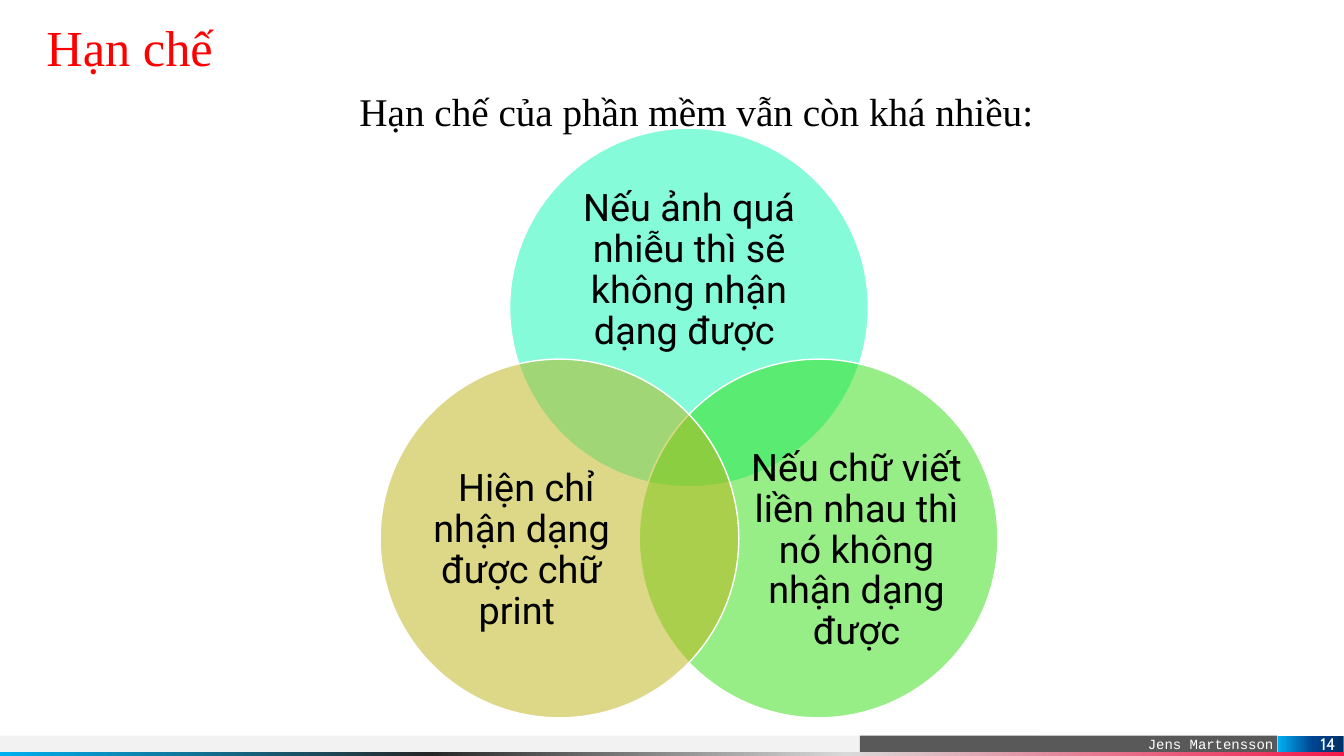
from pptx import Presentation
from pptx.dml.color import RGBColor
from pptx.enum.shapes import MSO_SHAPE
from pptx.enum.text import MSO_ANCHOR, MSO_AUTO_SIZE, PP_ALIGN
from pptx.oxml.ns import qn
from pptx.util import Cm, Pt
from lxml import etree

RECT, OVAL = MSO_SHAPE.RECTANGLE, MSO_SHAPE.OVAL
LEFT, CENTER, RIGHT = PP_ALIGN.LEFT, PP_ALIGN.CENTER, PP_ALIGN.RIGHT
TOP, MIDDLE, BOTTOM = MSO_ANCHOR.TOP, MSO_ANCHOR.MIDDLE, MSO_ANCHOR.BOTTOM
NO_FIT = MSO_AUTO_SIZE.NONE
SERIF, SANS = "Times New Roman", "Roboto"
COLORS = {
    "red": "FF0000", "black": "000000", "white": "FFFFFF",
    "pale": "F2F2F2", "gray": "595959",
    "mint": "0CF8B6", "green": "31DC0E", "olive": "BDB313",
}
RAINBOW = [(0, "F2194A"), (37, "D9D9D9"), (68, "262626"), (100, "00B0F0")]
BLUES = [(0, "003065"), (47, "004490"), (100, "00B0F0")]


def rgb(name):
    return RGBColor.from_string(COLORS[name])


def write(shape, text, font, size, color, align=LEFT, anchor=TOP,
          inset=(0, 0, 0, 0), spacing=None):
    frame = shape.text_frame
    frame.word_wrap = True
    frame.auto_size = NO_FIT
    frame.vertical_anchor = anchor
    (frame.margin_left, frame.margin_top,
     frame.margin_right, frame.margin_bottom) = map(Cm, inset)
    frame.text = text
    para = frame.paragraphs[0]
    para.alignment = align
    para.line_spacing = spacing
    para.font.name = font
    para.font.size = Pt(size)
    para.font.color.rgb = rgb(color)


def add_form(slide, kind, box, color=None):
    shape = slide.shapes.add_shape(kind, *map(Cm, box))
    shape.shadow.inherit = False
    shape.line.fill.background()
    if color:
        shape.fill.solid()
        shape.fill.fore_color.rgb = rgb(color)
    return shape


def blend(shape, stops):
    shape.fill.gradient()
    shape.fill.gradient_angle = 180
    stop_list = shape._element.spPr.find(".//" + qn("a:gsLst"))
    for old in list(stop_list):
        stop_list.remove(old)
    for place, color in stops:
        stop = etree.SubElement(stop_list, qn("a:gs"), pos=str(place * 1000))
        etree.SubElement(stop, qn("a:srgbClr"), val=color)


def add_footer(slide, left, top, width, height):
    bar = 0.41
    add_form(slide, RECT, (left, top, 26.14, bar), "pale")
    name = add_form(slide, RECT, (left + 21.69, top, 10.52, bar), "gray")
    write(name, "Jens Martensson", "Courier New", 10, "white", RIGHT, BOTTOM,
          (0.25, 0, 0.1, 0))
    strip = add_form(slide, RECT, (left, top + bar, width, height - bar))
    blend(strip, RAINBOW)
    page = add_form(slide, RECT, (left + 32.23, top, 1.65, bar))
    blend(page, BLUES)
    write(page, "14", "Cabin", 12, "white", RIGHT, MIDDLE, (0, 0, 0.2, 0))


def add_head(slide, left, top, width, height):
    title = slide.shapes.title
    title.left, title.top = Cm(left), Cm(top)
    title.width, title.height = Cm(width), Cm(height)
    write(title, "Hạn chế", SERIF, 36, "red", spacing=0.9)
    lead = slide.shapes.add_textbox(
        Cm(left + 7.64), Cm(top + height), Cm(23.39), Cm(1.45))
    write(lead, "Hạn chế của phần mềm vẫn còn khá nhiều:", SERIF, 28, "black",
          inset=(0.25, 0.13, 0.25, 0.13))


def add_venn(slide, left, top, width, height):
    size = 9.04
    low = top + height - size
    rings = [
        (left + (width - size) / 2, top, "mint", (1.2, 1.57, 6.64, 4.06),
         "Nếu ảnh quá nhiễu thì sẽ không nhận dạng được "),
        (left + width - size, low, "green", (2.77, 2.34, 5.41, 4.98),
         "Nếu chữ viết liền nhau thì nó không nhận dạng được"),
        (left, low, "olive", (0.86, 2.34, 5.41, 4.98),
         " Hiện chỉ nhận dạng được chữ print "),
    ]
    for x, y, color, (dx, dy, wide, high), text in rings:
        ring = add_form(slide, OVAL, (x, y, size, size), color)
        ring.line.color.rgb = rgb("white")
        ring.line.width = Pt(1)
        tint = ring._element.spPr.find(qn("a:solidFill"))[0]
        etree.SubElement(tint, qn("a:alpha"), val="50000")
        label = slide.shapes.add_textbox(
            Cm(x + dx), Cm(y + dy), Cm(wide), Cm(high))
        write(label, text, SANS, 27, "black", CENTER, MIDDLE, spacing=0.9)


def main():
    deck = Presentation()
    deck.slide_width, deck.slide_height = Cm(33.87), Cm(19.05)
    slide = deck.slides.add_slide(deck.slide_layouts[5])
    add_footer(slide, -0.02, 18.54, 33.89, 0.51)
    add_head(slide, 1.17, 0.58, 31.88, 1.5)
    add_venn(slide, 9.58, 3.23, 15.57, 14.86)
    deck.save("out.pptx")


if __name__ == "__main__":
    main()
